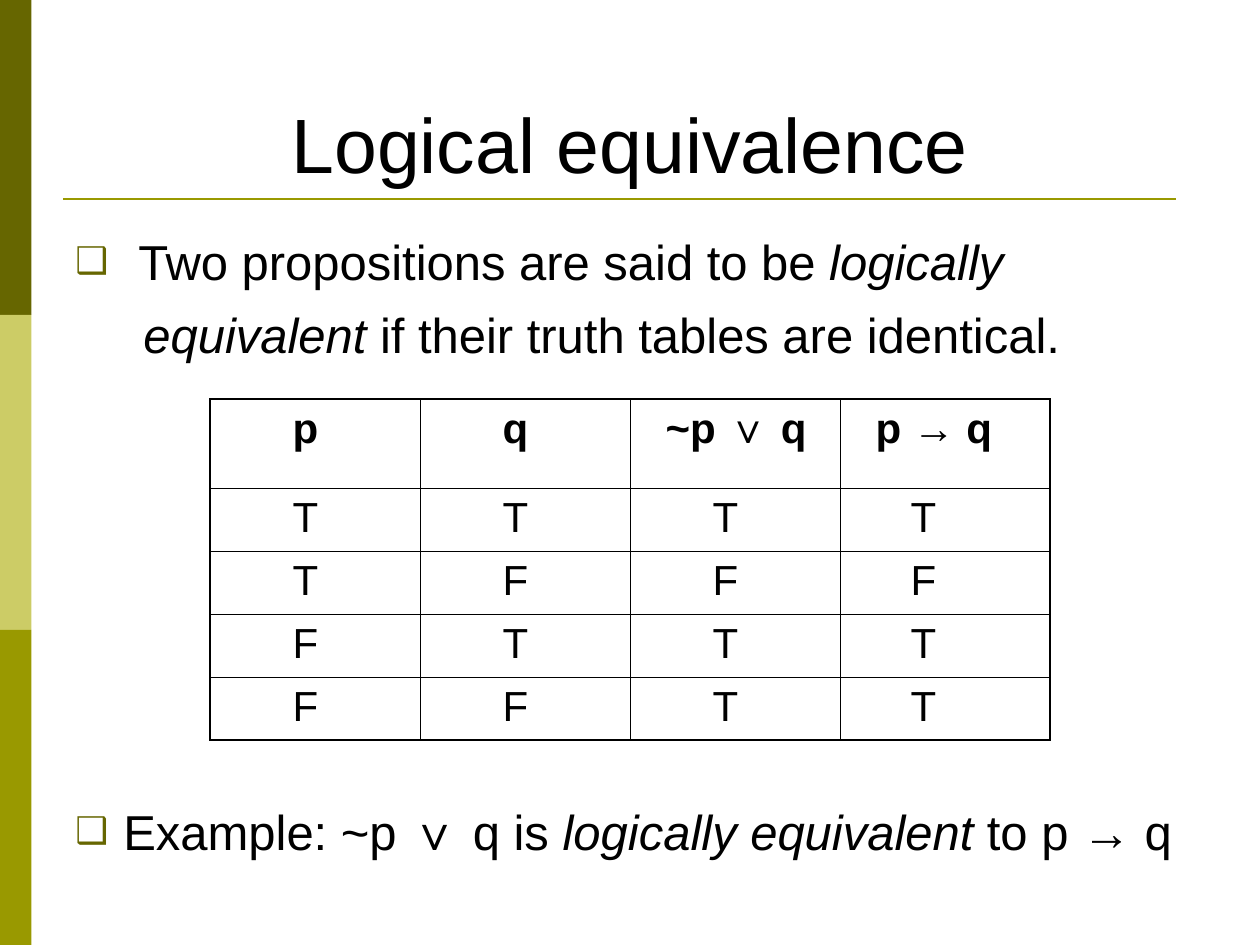
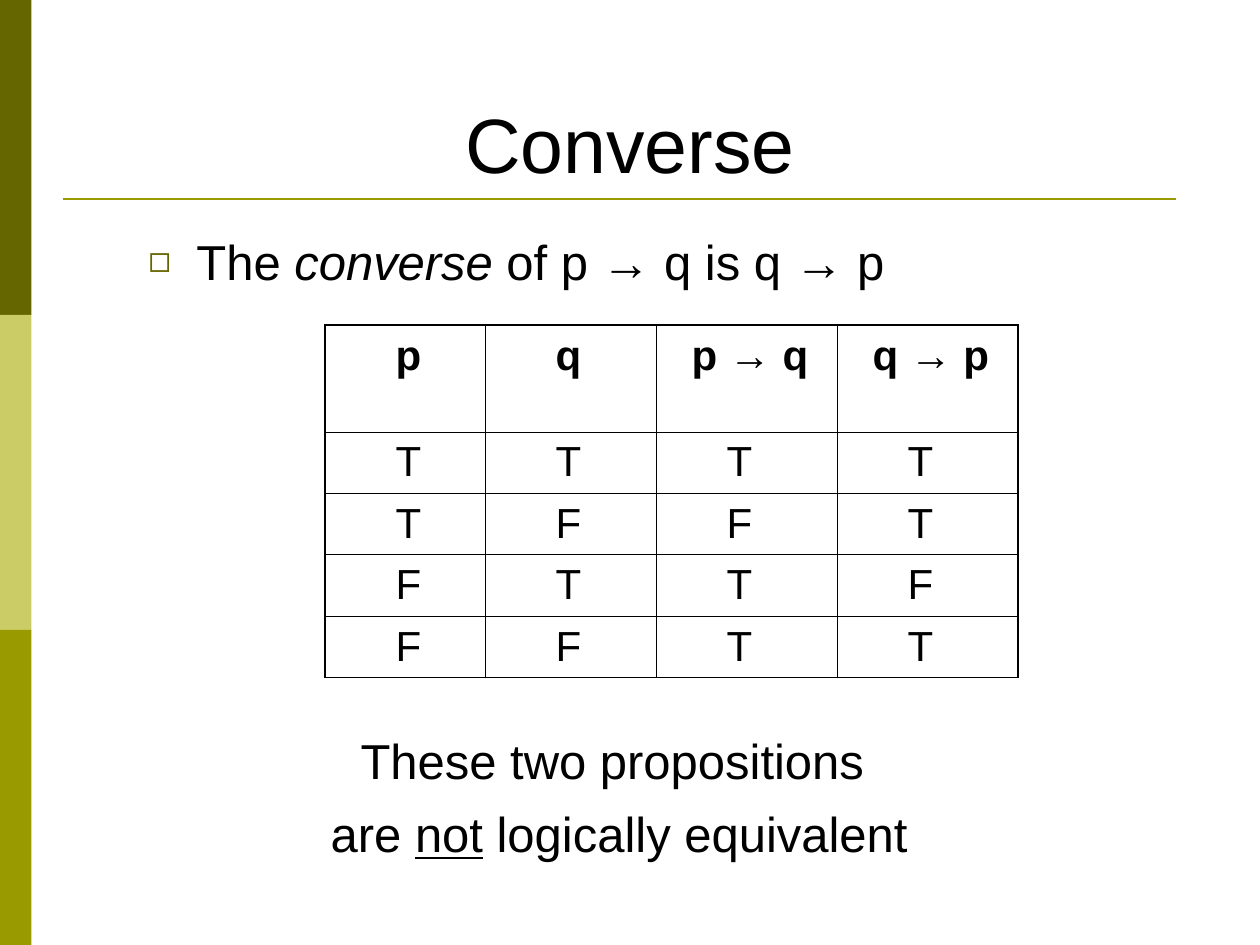
from lxml.etree import SubElement
from pptx import Presentation
from pptx.dml.color import RGBColor
from pptx.enum.shapes import MSO_CONNECTOR, MSO_SHAPE
from pptx.enum.text import MSO_ANCHOR, PP_ALIGN
from pptx.oxml.ns import qn
from pptx.util import Emu, Pt

PX_PER_INCH = 126
SLIDE_W, SLIDE_H = 1260, 945
FONT = "Arial"
BLACK = RGBColor(0x00, 0x00, 0x00)
DARK_OLIVE = RGBColor(0x66, 0x66, 0x00)
PALE_OLIVE = RGBColor(0xCC, 0xCC, 0x66)
OLIVE = RGBColor(0x99, 0x99, 0x00)
TITLE_BOX = (63, 38, 1134, 157)
OUTER, INNER = 1.08, 0.45  # table border widths in points


def px(n):
    return Emu(round(n * 914400 / PX_PER_INCH))


def add_run(p, text, size, style=""):
    """Style letters: b bold, i italic, u underline."""
    r = p.add_run()
    r.text = text
    r.font.name = FONT
    r.font.size = Pt(size)
    r.font.color.rgb = BLACK
    r.font.bold = "b" in style
    r.font.italic = "i" in style
    r.font.underline = "u" in style


def set_indent(p, left, hanging=0):
    pPr = p._p.get_or_add_pPr()
    pPr.set("marL", str(px(left)))
    pPr.set("indent", str(-px(hanging)))
    return pPr


def add_bullet(p, char, left):
    pPr = set_indent(p, left, left)
    color = SubElement(pPr, qn("a:buClr"))
    SubElement(color, qn("a:srgbClr"), val=str(DARK_OLIVE))
    SubElement(pPr, qn("a:buSzPct"), val="75000")
    SubElement(pPr, qn("a:buFont"), typeface=FONT)
    SubElement(pPr, qn("a:buChar"), char=char)


def add_text(slide, box, lines, size=28, align=PP_ALIGN.LEFT, anchor=MSO_ANCHOR.TOP):
    """Each line is (bullet, left indent, [(text, style), ...])."""
    tf = slide.shapes.add_textbox(*map(px, box)).text_frame
    tf.word_wrap = True
    tf.vertical_anchor = anchor
    for i, (bullet, left, runs) in enumerate(lines):
        p = tf.paragraphs[0] if i == 0 else tf.add_paragraph()
        if bullet:
            add_bullet(p, bullet, left)
        else:
            set_indent(p, left)
        p.alignment = align
        if i:
            p.space_before = Pt(8.5)
        for text, style in runs:
            add_run(p, text, size, style)


def add_frame(slide, title):
    # Side bands
    band_h = SLIDE_H // 3
    for i, color in enumerate((DARK_OLIVE, PALE_OLIVE, OLIVE)):
        band = slide.shapes.add_shape(
            MSO_SHAPE.RECTANGLE, 0, px(i * band_h), px(31.5), px(band_h))
        band.shadow.inherit = False
        band.fill.solid()
        band.fill.fore_color.rgb = color
        band.line.fill.background()
    # Rule under the title
    rule = slide.shapes.add_connector(
        MSO_CONNECTOR.STRAIGHT, px(63), px(199), px(1176), px(199))
    rule.line.color.rgb = OLIVE
    rule.line.width = Pt(1.5)
    SubElement(rule._element.spPr, qn("a:effectLst"))
    # Title
    add_text(slide, TITLE_BOX, [(None, 0, [(title, "")])], 44,
             PP_ALIGN.CENTER, MSO_ANCHOR.BOTTOM)


def set_borders(cell, **widths):
    tcPr = cell._tc.get_or_add_tcPr()
    for side in "LRTB":
        ln = SubElement(tcPr, qn("a:ln" + side), w=str(Pt(widths[side])))
        SubElement(SubElement(ln, qn("a:solidFill")), qn("a:srgbClr"), val=str(BLACK))


def add_truth_table(slide, origin, col_widths, row_heights, rows, head_indents, body_indents):
    n_rows, n_cols = len(rows), len(col_widths)
    size = (sum(col_widths), sum(row_heights))
    table = slide.shapes.add_table(n_rows, n_cols, *map(px, origin + size)).table
    table.first_row = table.horz_banding = False
    for col, width in zip(table.columns, col_widths):
        col.width = px(width)
    for y, (values, height) in enumerate(zip(rows, row_heights)):
        table.rows[y].height = px(height)
        indents = body_indents if y else head_indents
        for x, (value, indent) in enumerate(zip(values, indents)):
            cell = table.cell(y, x)
            cell.margin_top, cell.margin_bottom = px(7), px(4)
            set_borders(cell,
                        L=INNER if x else OUTER,
                        R=INNER if x < n_cols - 1 else OUTER,
                        T=INNER if y else OUTER,
                        B=INNER if y < n_rows - 1 else OUTER)
            cell.fill.background()
            p = cell.text_frame.paragraphs[0]
            set_indent(p, indent)
            add_run(p, value, 24, "" if y else "b")


def build_equivalence(slide):
    add_frame(slide, "Logical equivalence")
    # Definition
    add_text(slide, (63, 225, 1134, 150), [
        ("❑", 63, [("Two propositions are said to be ", ""), ("logically", "i")]),
        (None, 68, [("equivalent", "i"), (" if their truth tables are identical.", "")]),
    ])
    # Truth table
    rows = [("p", "q", "~p ∨ q", "p → q"), *("TTTT", "TFFF", "FTTT", "FFTT")]
    add_truth_table(slide, (210, 399), [210] * 4, [89] + [63] * 4, rows,
                    (70, 70, 23, 23), (70, 70, 70, 58))
    # Example
    add_text(slide, (63, 795, 1134, 70), [
        ("❑", 48, [("Example: ~p ∨ q is ", ""), ("logically equivalent", "i"),
                   (" to p → q", "")]),
    ])


def build_converse(slide):
    add_frame(slide, "Converse")
    # Definition
    add_text(slide, (136, 225, 966, 70), [
        ("◻", 48, [("The ", ""), ("converse", "i"), (" of p → q is q → p", "")]),
    ])
    # Truth table
    rows = [("p", "q", "p → q", "q → p"), *("TTTT", "TFFT", "FTTF", "FFTT")]
    add_truth_table(slide, (325, 325), [160, 171, 181, 181], [107] + [60] * 4, rows,
                    (58, 58, 23, 23), [58] * 4)
    # Conclusion
    add_text(slide, (136, 724, 966, 140), [
        (None, 0, [("These two propositions ", "")]),
        (None, 0, [("are ", ""), ("not", "u"), (" logically equivalent", "")]),
    ], align=PP_ALIGN.CENTER)


def main():
    prs = Presentation()
    prs.slide_width, prs.slide_height = px(SLIDE_W), px(SLIDE_H)
    for build in (build_equivalence, build_converse):
        build(prs.slides.add_slide(prs.slide_layouts[6]))
    prs.save("out.pptx")


if __name__ == "__main__":
    main()
